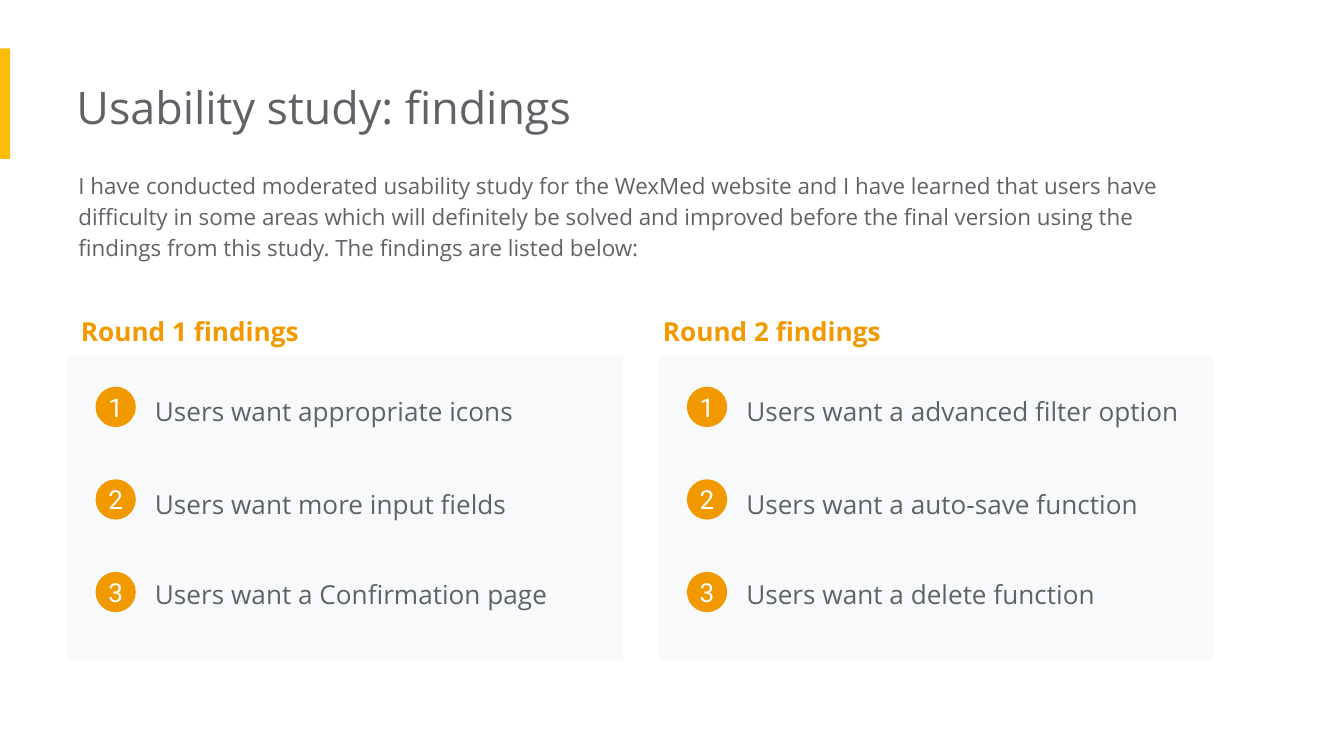
from pptx import Presentation
from pptx.dml.color import RGBColor
from pptx.enum.shapes import MSO_SHAPE
from pptx.enum.text import MSO_ANCHOR, PP_ALIGN
from pptx.util import Pt

GREY = "5F6368"
ORANGE = "F29900"
PALE = "F8F9FA"
YELLOW = "FBBC04"
WHITE = "FFFFFF"

INTRO = (
    "I have conducted moderated usability study for the WexMed website and I have "
    "learned that users have difficulty in some areas which will definitely be solved "
    "and improved before the final version using the findings from this study. "
    "The findings are listed below:"
)

ROUNDS = [
    ("Round 1 findings", 36, 0.2, [
        "Users want appropriate icons",
        "Users want more input fields",
        "Users want a Confirmation page",
    ]),
    ("Round 2 findings", 352.8, -4.8, [
        "Users want a advanced filter option",
        "Users want a auto-save function",
        "Users want a delete function",
    ]),
]
FINDING_TOPS = [11.5, 61.2, 109.4]
BADGE_TOP, BADGE_STEP, BADGE_SIZE = 16.4, 49.6, 21.6


def colour(value):
    return RGBColor.from_string(value)


def add_run(paragraph, words, size, ink, face="Open Sans", bold=False):
    run = paragraph.add_run()
    run.text = words
    run.font.size = Pt(size)
    run.font.name = face
    run.font.bold = bold
    run.font.color.rgb = colour(ink)


def add_text(slide, box, words, size, ink, inset=7.2, spacing=1.15, bold=False):
    frame = slide.shapes.add_textbox(*map(Pt, box)).text_frame
    frame.word_wrap = True
    frame.margin_left = Pt(inset)
    frame.margin_top = frame.margin_right = frame.margin_bottom = Pt(7.2)
    paragraph = frame.paragraphs[0]
    paragraph.line_spacing = spacing
    add_run(paragraph, words, size, ink, bold=bold)


def add_block(slide, kind, box, fill):
    block = slide.shapes.add_shape(kind, *map(Pt, box))
    block.shadow.inherit = False
    block.fill.solid()
    block.fill.fore_color.rgb = colour(fill)
    block.line.fill.background()
    return block


def add_badge(slide, box, number):
    badge = add_block(slide, MSO_SHAPE.OVAL, box, ORANGE)
    frame = badge.text_frame
    frame.word_wrap = True
    frame.vertical_anchor = MSO_ANCHOR.MIDDLE
    frame.margin_left = frame.margin_top = frame.margin_right = frame.margin_bottom = 0
    paragraph = frame.paragraphs[0]
    paragraph.alignment = PP_ALIGN.CENTER
    add_run(paragraph, str(number), 14, WHITE, face="Roboto")


def add_header(slide, box):
    left, top, width, height = box
    add_block(slide, MSO_SHAPE.RECTANGLE, (left, top, 5.5, 59.3), YELLOW)
    add_text(slide, (left + 41, top + 9.4, 484.6, 43.9),
             "Usability study: findings", 24, GREY, inset=0, spacing=1.0)
    add_text(slide, (left + 42, top + 56.9, width - 42, height - 56.9),
             INTRO, 12, GREY, inset=0)


def add_round(slide, box, heading, heading_shift, findings):
    left, top, width, height = box
    add_block(slide, MSO_SHAPE.RECTANGLE, box, PALE)
    add_text(slide, (left + heading_shift, top - 31.7, 262.8, 31.7),
             heading, 14, ORANGE, bold=True)
    for index, (finding, finding_top) in enumerate(zip(findings, FINDING_TOPS)):
        add_text(slide, (left + 39.9, top + finding_top, 262.8, 33.8),
                 finding, 14, GREY)
        badge_top = top + BADGE_TOP + index * BADGE_STEP
        add_badge(slide, (left + 15.2, badge_top, BADGE_SIZE, BADGE_SIZE), index + 1)


def main():
    deck = Presentation()
    deck.slide_width = Pt(720)
    deck.slide_height = Pt(405)
    slide = deck.slides.add_slide(deck.slide_layouts[6])
    slide.background.fill.solid()
    slide.background.fill.fore_color.rgb = colour(WHITE)
    add_header(slide, (0, 25.9, 661.7, 121.7))
    for heading, left, heading_shift, findings in ROUNDS:
        add_round(slide, (left, 190.8, 297.4, 162.7), heading, heading_shift, findings)
    deck.save("out.pptx")


if __name__ == "__main__":
    main()
